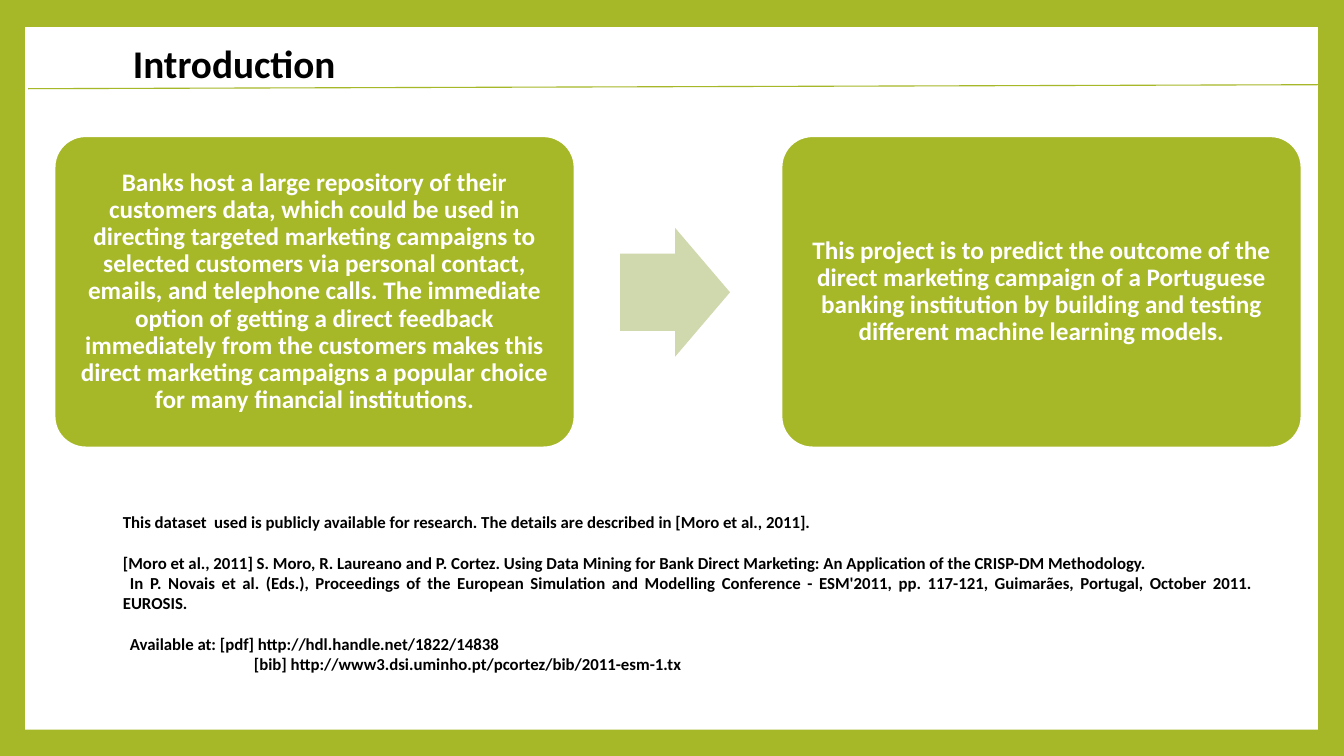
from pptx import Presentation
from pptx.dml.color import RGBColor
from pptx.enum.shapes import MSO_CONNECTOR as Connector, MSO_SHAPE as Shape
from pptx.enum.text import MSO_ANCHOR as Anchor, PP_ALIGN as Align
from pptx.oxml.ns import qn
from pptx.util import Inches, Pt
from lxml.etree import SubElement

GREEN, PALE_GREEN, WHITE, BLACK = "A6B727", "D0D8AD", "FFFFFF", "000000"


def color(value):
    return RGBColor.from_string(value)


class SlideBuilder:
    font = "Calibri"

    def __init__(self, slide, background):
        self.slide = slide
        slide.background.fill.solid()
        slide.background.fill.fore_color.rgb = color(background)

    def style(self, paragraph, size, ink, align=Align.LEFT):
        paragraph.alignment = align
        font = paragraph.font
        font.name, font.size, font.bold = self.font, Pt(size), True
        font.color.rgb = color(ink)

    def shape(self, kind, left, top, width, height, fill, adjustments=(), outline=None):
        shape = self.slide.shapes.add_shape(
            kind, Inches(left), Inches(top), Inches(width), Inches(height))
        shape.shadow.inherit = False
        shape.fill.solid()
        shape.fill.fore_color.rgb = color(fill)
        for index, value in enumerate(adjustments):
            shape.adjustments[index] = value
        if outline:
            shape.line.color.rgb = color(outline)
            shape.line.width = Pt(1.5)
        else:
            shape.line.fill.background()
        return shape

    def card(self, left, top, width, height, text):
        frame = self.shape(Shape.ROUNDED_RECTANGLE, left, top, width, height,
                           GREEN, [0.1], WHITE).text_frame
        frame.word_wrap = True
        frame.vertical_anchor = Anchor.MIDDLE
        frame.margin_left = frame.margin_right = Inches(0.07)
        frame.margin_top = frame.margin_bottom = Inches(0.07)
        paragraph = frame.paragraphs[0]
        paragraph.text = text
        paragraph.line_spacing = 0.9
        paragraph.space_after = Pt(6.3)
        self.style(paragraph, 18, WHITE, Align.CENTER)

    def text(self, left, top, width, height, lines, size, align=Align.LEFT):
        frame = self.slide.shapes.add_textbox(
            Inches(left), Inches(top), Inches(width), Inches(height)).text_frame
        frame.word_wrap = True
        for index, (text, indent, gap) in enumerate(lines):
            paragraph = frame.add_paragraph() if index else frame.paragraphs[0]
            paragraph.text = text
            paragraph.space_before = Pt(gap)
            self.style(paragraph, size, BLACK, align)
            paragraph._p.get_or_add_pPr().set("indent", str(Inches(indent)))

    def rule(self, x1, y1, x2, y2):
        rule = self.slide.shapes.add_connector(
            Connector.STRAIGHT, Inches(x1), Inches(y1), Inches(x2), Inches(y2))
        rule.line.color.rgb = color(GREEN)
        rule.line.width = Pt(0.79)
        SubElement(rule._element.spPr, qn("a:effectLst"))


presentation = Presentation()
presentation.slide_width, presentation.slide_height = Inches(13.33), Inches(7.5)
builder = SlideBuilder(
    presentation.slides.add_slide(presentation.slide_layouts[6]), GREEN)

builder.shape(Shape.RECTANGLE, 0.25, 0.27, 12.82, 6.97, WHITE)

section_gap = 14.6
references = [
    ("This dataset  used is publicly available for research. "
     "The details are described in [Moro et al., 2011].", 0, 0),
    ("[Moro et al., 2011] S. Moro, R. Laureano and P. Cortez. Using Data Mining for Bank "
     "Direct Marketing: An Application of the CRISP-DM Methodology.", 0, section_gap),
    ("In P. Novais et al. (Eds.), Proceedings of the European Simulation and Modelling "
     "Conference - ESM'2011, pp. 117-121, Guimarães, Portugal, October 2011. EUROSIS.", 0.07, 0),
    ("Available at: [pdf] http://hdl.handle.net/1822/14838", 0.07, section_gap),
    ("[bib] http://www3.dsi.uminho.pt/pcortez/bib/2011-esm-1.tx", 1.3, 0),
]
builder.text(1.12, 5.03, 11.41, 1.92, references, 12, Align.JUSTIFY)
builder.text(1.22, 0.34, 5.62, 0.57, [("Introduction", 0, 0)], 28)
builder.rule(13.21, 0.84, 0.28, 0.88)

context = (
    "Banks host a large repository of their customers data, which could be used in directing "
    "targeted marketing campaigns to selected customers via personal contact, emails, and "
    "telephone calls. The immediate option of getting a direct feedback immediately from the "
    "customers makes this direct marketing campaigns a popular choice for many financial "
    "institutions.")
goal = (
    "This project is to predict the outcome of the direct marketing campaign of a Portuguese "
    "banking institution by building and testing different machine learning models.")
for left, statement in ((0.54, context), (7.75, goal)):
    builder.card(left, 1.35, 5.16, 3.09, statement)
builder.shape(Shape.RIGHT_ARROW, 6.15, 2.26, 1.09, 1.28, PALE_GREEN, [0.6, 0.5])

presentation.save("out.pptx")
